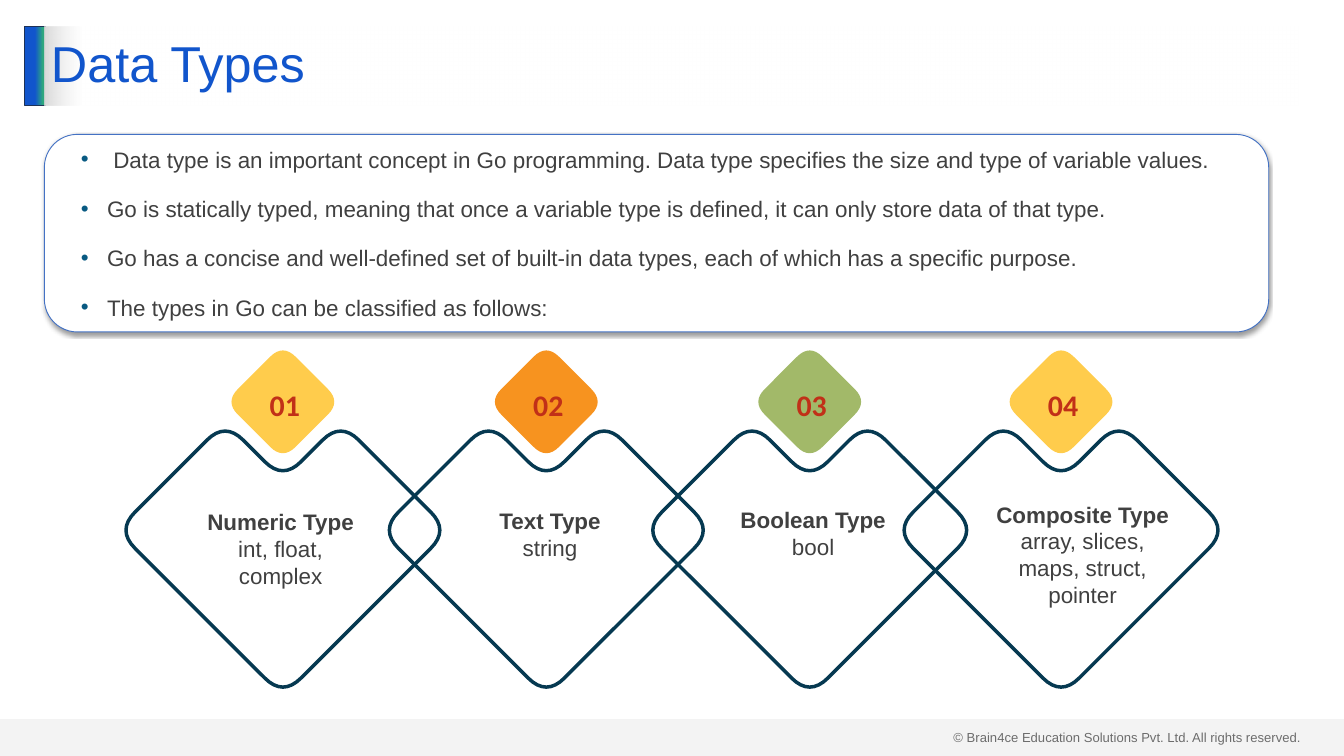
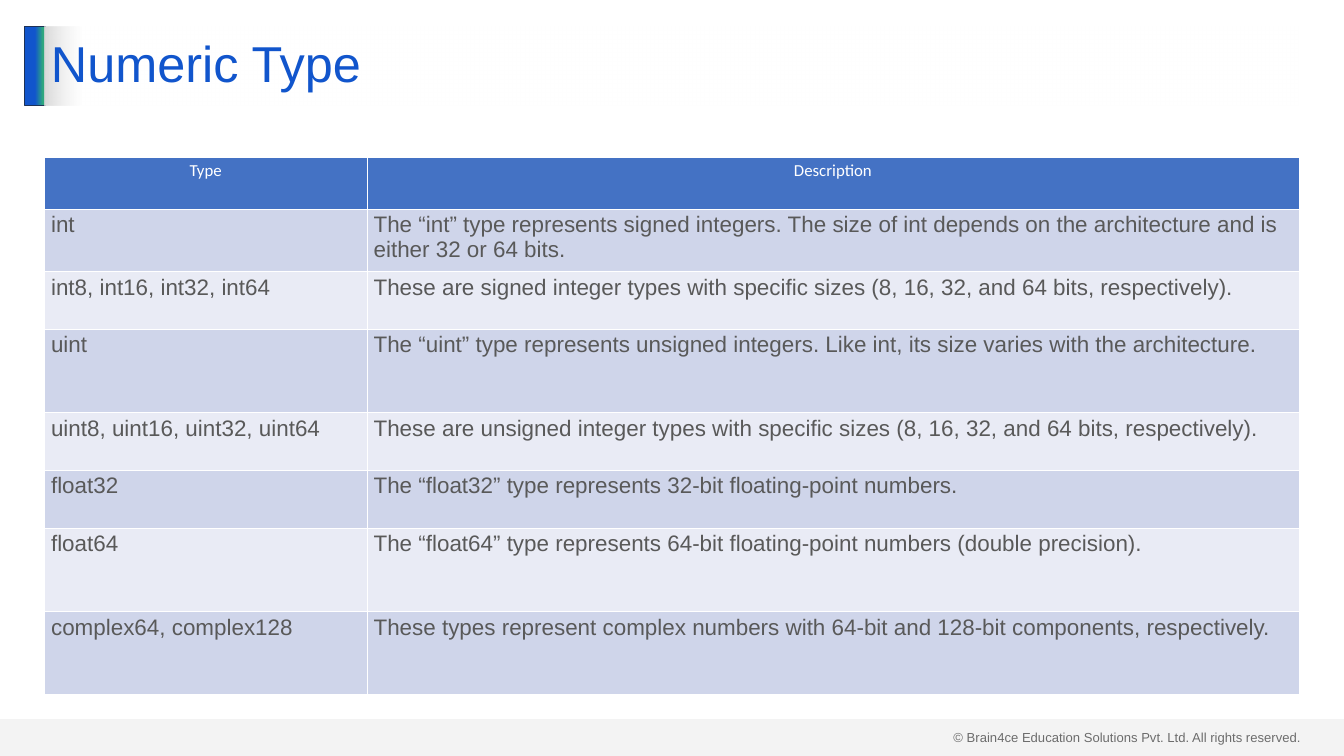
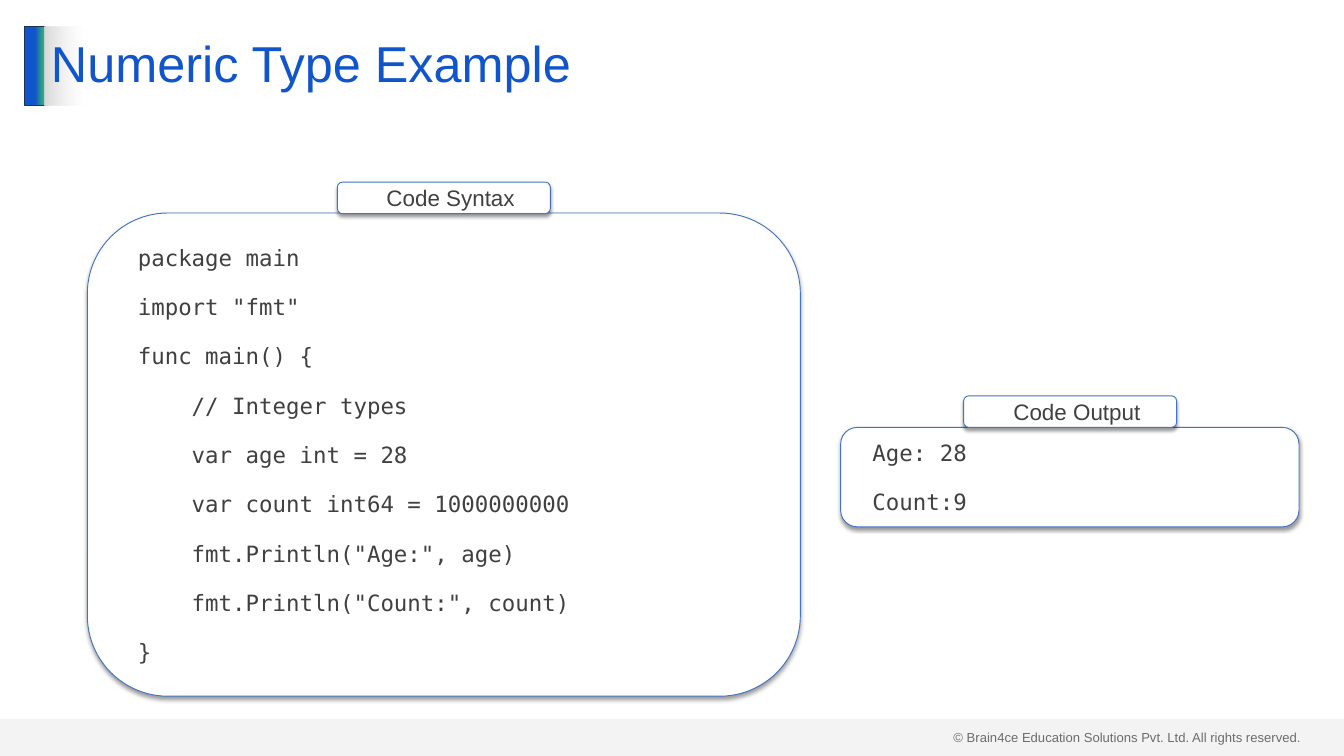
import pptx
import pptx.util
import pptx.dml.color
import pptx.enum.shapes
import pptx.enum.text
import pptx.oxml.ns
from lxml import etree

Inches = pptx.util.Inches
Pt = pptx.util.Pt
RGB = pptx.dml.color.RGBColor
KIND = pptx.enum.shapes.MSO_SHAPE
ANCHOR = pptx.enum.text.MSO_ANCHOR
ALIGN = pptx.enum.text.PP_ALIGN
qn = pptx.oxml.ns.qn

BLUE = RGB(0x11, 0x55, 0xCC)
GREEN = RGB(0x2E, 0xA8, 0x7D)
EDGE = RGB(0x1E, 0x32, 0x56)
GRAY = RGB(0xD9, 0xD9, 0xD9)
WHITE = RGB(0xFF, 0xFF, 0xFF)
BLACK = RGB(0x00, 0x00, 0x00)
INK = RGB(0x40, 0x40, 0x40)
SLATE = RGB(0x59, 0x59, 0x59)
ACCENT = RGB(0x44, 0x72, 0xC4)
BULLET = RGB(0x09, 0x5A, 0x82)
NAVY = RGB(0x06, 0x39, 0x51)
RED = RGB(0xC1, 0x30, 0x18)
GOLD = RGB(0xFF, 0xCC, 0x4C)
ORANGE = RGB(0xF7, 0x93, 0x1F)
OLIVE = RGB(0xA2, 0xB9, 0x69)
DARK = RGB(0xCF, 0xD5, 0xEA)
LIGHT = RGB(0xE9, 0xEB, 0xF5)

SANS = "Arial"
MONO = "DejaVu Sans Mono"
HEAD = "Calibri"


def panel(slide, at, lines, face=SANS, bullet=False, align=ALIGN.LEFT):
    box = slide.shapes.add_shape(KIND.ROUNDED_RECTANGLE, *map(Inches, at))
    box.fill.solid()
    box.fill.fore_color.rgb = WHITE
    box.line.color.rgb = ACCENT
    box.line.width = Pt(1)
    box.shadow.inherit = False
    glow = etree.SubElement(
        box._element.spPr.find(qn("a:effectLst")), qn("a:outerShdw"),
        blurRad=str(Pt(4)), dist=str(Pt(3)), dir="5400000", rotWithShape="0")
    tint = etree.SubElement(glow, qn("a:srgbClr"), val=str(BLACK))
    etree.SubElement(tint, qn("a:alpha"), val="40000")
    frame = box.text_frame
    frame.margin_left = frame.margin_right = Inches(0.2)
    frame.margin_top = frame.margin_bottom = Inches(0.1)
    frame.vertical_anchor = ANCHOR.MIDDLE
    frame.text = "\n".join(lines)
    for i, para in enumerate(frame.paragraphs):
        props = para._p.get_or_add_pPr()
        props.set("marL", str(Inches(0.59 if bullet else 0.2)))
        props.set("indent", str(Inches(-0.39 if bullet else 0)))
        if bullet:
            tint = etree.SubElement(props, qn("a:buClr"))
            etree.SubElement(tint, qn("a:srgbClr"), val=str(BULLET))
            etree.SubElement(props, qn("a:buFont"), typeface=SANS)
            etree.SubElement(props, qn("a:buChar"), char="•")
        para.alignment = align
        para.space_before = Pt(24 if i else 0)
        para.space_after = Pt(0)
        for run in para.runs:
            run.font.name = face
            run.font.size = Pt(24)
            run.font.color.rgb = INK


def outline(slide, mid, corners, reach):
    dots = []
    for i, (x, y) in enumerate(corners):
        ends = []
        for nx, ny in (corners[i - 1], corners[(i + 1) % len(corners)]):
            part = reach / abs(nx - x)
            ends.append((x + (nx - x) * part, y + (ny - y) * part))
        (ax, ay), (bx, by) = ends
        for step in range(9):
            t = step / 8
            u = 1 - t
            px = u * u * ax + 2 * u * t * x + t * t * bx
            py = u * u * ay + 2 * u * t * y + t * t * by
            dots.append((Inches(mid + px), Inches(py)))
    path = slide.shapes.build_freeform(*dots[0])
    path.add_line_segments(dots[1:], close=True)
    shape = path.convert_to_shape()
    shape.shadow.inherit = False
    return shape


deck = pptx.Presentation()
deck.slide_width = Inches(20)
deck.slide_height = Inches(11.25)

for title in ("Data Types", "Numeric Type", "Numeric Type Example"):
    slide = deck.slides.add_slide(deck.slide_layouts[6])
    note = slide.shapes.add_textbox(Inches(14.09), Inches(10.8), Inches(5.41), Inches(0.34))
    note.text_frame.word_wrap = True
    note.text_frame.text = "© Brain4ce Education Solutions Pvt. Ltd. All rights reserved."
    font = note.text_frame.paragraphs[0].runs[0].font
    font.name, font.size = SANS, Pt(14)
    font.color.rgb = INK

    bar = slide.shapes.add_shape(KIND.RECTANGLE, Inches(0.37), Inches(0.39), Inches(0.3), Inches(1.18))
    band = slide.shapes.add_shape(KIND.RECTANGLE, 0, Inches(10.7), Inches(20), Inches(0.55))
    head = slide.shapes.add_shape(KIND.RECTANGLE, Inches(0.66), Inches(0.39), Inches(18.67), Inches(1.18))
    for shape in (bar, band, head):
        shape.shadow.inherit = False
        shape.line.fill.background()
    bar.line.color.rgb = EDGE
    bar.line.width = Pt(1)
    band.fill.solid()
    band.fill.fore_color.rgb = GRAY
    tint = band._element.spPr.find(qn("a:solidFill"))[0]
    etree.SubElement(tint, qn("a:alpha"), val="29000")

    fades = ((bar, ((51, BLUE, 100), (90, GREEN, 100), (100, GREEN, 100))),
             (head, ((0, GRAY, 100), (3, WHITE, 50))))
    for shape, stops in fades:
        shape.fill.gradient()
        shape.fill.gradient_angle = 0
        ramp = shape._element.spPr.find(qn("a:gradFill")).find(qn("a:gsLst"))
        for old in list(ramp):
            ramp.remove(old)
        for pos, color, alpha in stops:
            stop = etree.SubElement(ramp, qn("a:gs"), pos=str(pos * 1000))
            tint = etree.SubElement(stop, qn("a:srgbClr"), val=str(color))
            etree.SubElement(tint, qn("a:alpha"), val=str(alpha * 1000))

    head.text_frame.text = title
    head.text_frame.vertical_anchor = ANCHOR.MIDDLE
    para = head.text_frame.paragraphs[0]
    para.alignment = ALIGN.LEFT
    para.line_spacing = 0.9
    font = para.runs[0].font
    font.name, font.size = SANS, Pt(54)
    font.color.rgb = BLUE

types, grid, code = deck.slides

panel(types, (0.66, 2, 18.22, 2.94), (
    " Data type is an important concept in Go programming. Data type specifies the size and type of variable values.",
    "Go is statically typed, meaning that once a variable type is defined, it can only store data of that type.",
    "Go has a concise and well-defined set of built-in data types, each of which has a specific purpose.",
    "The types in Go can be classified as follows:"), bullet=True)

NOTCHED = ((0, 10.36), (-2.47, 7.89), (-0.86, 6.28), (0, 7.14), (0.86, 6.28), (2.47, 7.89))
DIAMOND = ((0, 6.84), (-0.86, 5.98), (0, 5.12), (0.86, 5.98))
kinds = (
    (4.21, GOLD, "Numeric Type", "int, float, complex", (2.99, 7.5, 2.37, 1.31)),
    (8.13, ORANGE, "Text Type", "string", (7, 7.49, 2.37, 0.91)),
    (12.05, OLIVE, "Boolean Type", "bool", (10.88, 7.47, 2.44, 0.91)),
    (15.79, GOLD, "Composite Type", "array, slices, maps, struct, pointer", (14.72, 7.38, 2.78, 1.72)))
for num, (mid, color, name, items, at) in enumerate(kinds, 1):
    ring = outline(types, mid, NOTCHED, 0.27)
    ring.fill.background()
    ring.line.color.rgb = NAVY
    ring.line.width = Pt(3.75)
    tile = outline(types, mid, DIAMOND, 0.19)
    tile.fill.solid()
    tile.fill.fore_color.rgb = color
    tile.line.fill.background()

    label = types.shapes.add_textbox(*map(Inches, at))
    frame = label.text_frame
    frame.word_wrap = True
    frame.margin_left = frame.margin_right = 0
    frame.vertical_anchor = ANCHOR.BOTTOM
    frame.text = name + "\n" + items
    for para in frame.paragraphs:
        para.alignment = ALIGN.CENTER
        font = para.runs[0].font
        font.name, font.size = SANS, Pt(24)
        font.color.rgb = INK
    frame.paragraphs[0].runs[0].font.bold = True

    mark = types.shapes.add_textbox(Inches(mid - 0.3), Inches(5.71), Inches(0.66), Inches(0.64))
    mark.text_frame.word_wrap = False
    mark.text_frame.text = f"{num:02}"
    para = mark.text_frame.paragraphs[0]
    para.alignment = ALIGN.CENTER
    font = para.runs[0].font
    font.name, font.size, font.bold = HEAD, Pt(32), True
    font.color.rgb = RED

rows = (
    (0.77, "Type", "Description"),
    (0.93, "int", "The “int” type represents signed integers. The size of int depends on the architecture and is either 32 or 64 bits."),
    (0.86, "int8, int16, int32, int64", "These are signed integer types with specific sizes (8, 16, 32, and 64 bits, respectively)."),
    (1.24, "uint", "The “uint” type represents unsigned integers. Like int, its size varies with the architecture."),
    (0.86, "uint8, uint16, uint32, uint64", "These are unsigned integer types with specific sizes (8, 16, 32, and 64 bits, respectively)."),
    (0.86, "float32", "The “float32” type represents 32-bit floating-point numbers."),
    (1.24, "float64", "The “float64” type represents 64-bit floating-point numbers (double precision)."),
    (1.24, "complex64, complex128", "These types represent complex numbers with 64-bit and 128-bit components, respectively."))
table = grid.shapes.add_table(len(rows), 2, Inches(0.66), Inches(2.34), Inches(18.67), Inches(8)).table
table.columns[0].width = Inches(4.8)
table.columns[1].width = Inches(13.87)
for r, (tall, *texts) in enumerate(rows):
    table.rows[r].height = Inches(tall)
    for c, text in enumerate(texts):
        cell = table.cell(r, c)
        cell.fill.solid()
        cell.fill.fore_color.rgb = (DARK if r % 2 else LIGHT) if r else ACCENT
        cell.text_frame.text = text
        para = cell.text_frame.paragraphs[0]
        para.alignment = ALIGN.LEFT if r else ALIGN.CENTER
        font = para.runs[0].font
        font.name = SANS if r else HEAD
        font.size = Pt(24 if r else 18)
        font.bold = False
        font.color.rgb = SLATE if r else WHITE

panel(code, (1.3, 3.17, 10.61, 7.19), (
    "package main",
    'import "fmt"',
    "func main() {",
    "    // Integer types",
    "    var age int = 28",
    "    var count int64 = 1000000000",
    '    fmt.Println("Age:", age)',
    '    fmt.Println("Count:", count)',
    "}"), face=MONO)
panel(code, (12.51, 6.36, 6.82, 1.48), ("Age: 28", "Count:9"), face=MONO)
panel(code, (5.02, 2.71, 3.17, 0.47), ("Code Syntax",), align=ALIGN.CENTER)
panel(code, (14.34, 5.89, 3.17, 0.47), ("Code Output",), align=ALIGN.CENTER)

deck.save("out.pptx")
